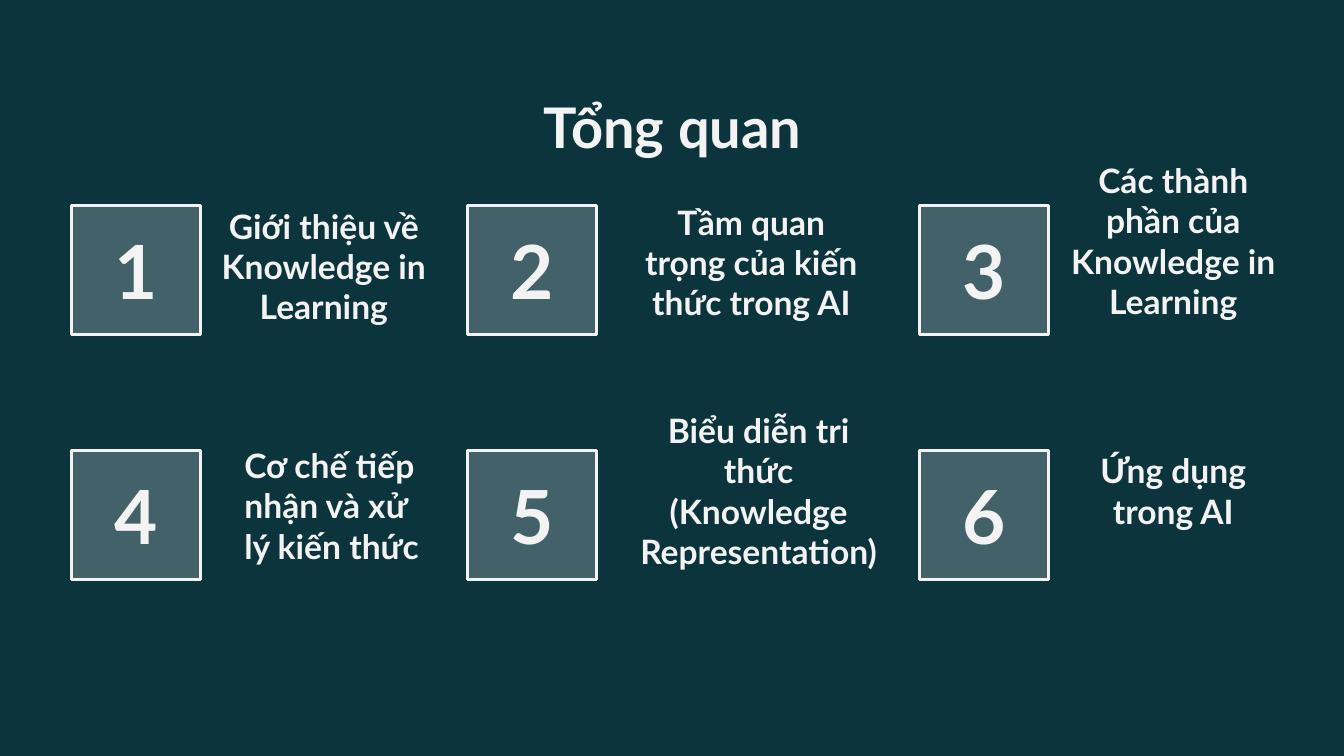
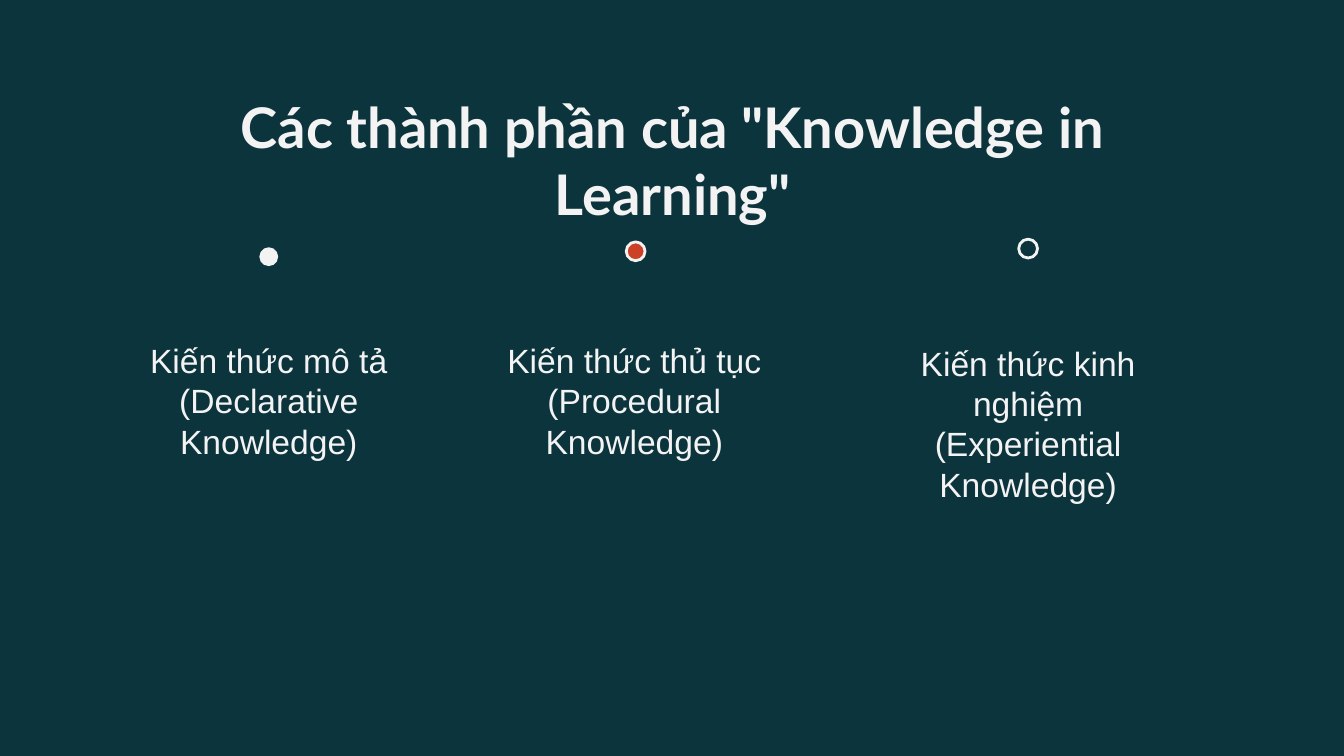
"""Build the overview slide and the knowledge components slide."""
from dataclasses import dataclass

from lxml.etree import SubElement
from pptx import Presentation
from pptx.dml.color import RGBColor
from pptx.enum.shapes import MSO_SHAPE
from pptx.enum.text import MSO_ANCHOR, PP_ALIGN
from pptx.oxml.ns import qn
from pptx.util import Inches, Pt


@dataclass(frozen=True)
class Theme:
    night: RGBColor = RGBColor(0x0C, 0x34, 0x3D)
    mist: RGBColor = RGBColor(0xF3, 0xF3, 0xF3)
    ember: RGBColor = RGBColor(0xCC, 0x41, 0x25)
    heading_font: str = "Lato"
    body_font: str = "Arial"
    title_size: int = 30
    number_size: int = 40
    text_size: int = 18
    outline: float = 1.5
    tile_alpha: str = "24000"


theme = Theme()


def write(shape, text, size, font=theme.heading_font, bold=True,
          anchor=MSO_ANCHOR.MIDDLE, align=PP_ALIGN.CENTER):
    frame = shape.text_frame
    frame.text = text
    frame.word_wrap = True
    frame.vertical_anchor = anchor
    frame.margin_left = frame.margin_right = Inches(0.1)
    frame.margin_top = frame.margin_bottom = Inches(0.1)
    for paragraph in frame.paragraphs:
        paragraph.alignment = align
        for run in paragraph.runs:
            run.font.name = font
            run.font.size = Pt(size)
            run.font.bold = bold
            run.font.color.rgb = theme.mist


def add_figure(slide, kind, left, top, side, fill, outlined=True):
    figure = slide.shapes.add_shape(
        kind, Inches(left), Inches(top), Inches(side), Inches(side))
    figure.shadow.inherit = False
    figure.fill.solid()
    figure.fill.fore_color.rgb = fill
    if outlined:
        figure.line.color.rgb = theme.mist
        figure.line.width = Pt(theme.outline)
    else:
        figure.line.fill.background()
    return figure


deck = Presentation()
deck.slide_width, deck.slide_height = Inches(10), Inches(5.625)

slides = []
for title in ("Tổng quan", 'Các thành phần của "Knowledge in Learning"'):
    slide = deck.slides.add_slide(deck.slide_layouts[6])
    slide.background.fill.solid()
    slide.background.fill.fore_color.rgb = theme.night
    heading = slide.shapes.add_textbox(
        Inches(0.79), Inches(0.59), Inches(8.43), Inches(0.63))
    write(heading, title, theme.title_size, anchor=MSO_ANCHOR.TOP)
    slides.append(slide)
overview, components = slides

tile_columns = (0.53, 3.48, 6.84)
tile_rows = (1.53, 3.35)
tile_side = 0.96
topics = (
    ("Giới thiệu về Knowledge in Learning", 1.23, 1.48, 2.36, 1.05, PP_ALIGN.CENTER),
    ("Tầm quan trọng của kiến thức trong AI", 4.63, 1.45, 1.92, 1.05, PP_ALIGN.CENTER),
    ("Các thành phần của Knowledge in Learning", 7.8, 1.28, 1.86, 1.21, PP_ALIGN.CENTER),
    ("Cơ chế tiếp nhận và xử lý kiến thức", 1.72, 3.39, 1.62, 0.92, PP_ALIGN.LEFT),
    ("Biểu diễn tri thức (Knowledge Representation)", 4.63, 3.0, 2.03, 1.35, PP_ALIGN.CENTER),
    ("Ứng dụng trong AI", 7.8, 2.8, 1.86, 1.25, PP_ALIGN.CENTER),
)
for index, (topic, left, top, width, height, align) in enumerate(topics):
    row, column = divmod(index, len(tile_columns))
    tile = add_figure(overview, MSO_SHAPE.ROUNDED_RECTANGLE,
                      tile_columns[column], tile_rows[row], tile_side, theme.mist)
    tile.adjustments[0] = 0
    tint = tile.fill._xPr.find(qn("a:solidFill"))[0]
    SubElement(tint, qn("a:alpha")).set("val", theme.tile_alpha)
    write(tile, str(index + 1), theme.number_size)
    caption = overview.shapes.add_textbox(
        Inches(left), Inches(top), Inches(width), Inches(height))
    write(caption, topic, theme.text_size, anchor=MSO_ANCHOR.BOTTOM, align=align)

dot_side = 0.14
kind_width, kind_height = 2.24, 1.32
knowledge_kinds = (
    ("Kiến thức mô tả\n(Declarative Knowledge)",
     0.88, 2.32, 1.93, 1.84, theme.mist, False),
    ("Kiến thức thủ tục (Procedural Knowledge)",
     3.6, 2.32, 4.66, 1.8, theme.ember, True),
    ("Kiến thức kinh nghiệm (Experiential Knowledge)",
     6.53, 2.49, 7.58, 1.78, theme.night, True),
)
for name, left, top, dot_left, dot_top, color, outlined in knowledge_kinds:
    add_figure(components, MSO_SHAPE.OVAL, dot_left, dot_top, dot_side, color, outlined)
    label = components.shapes.add_textbox(
        Inches(left), Inches(top), Inches(kind_width), Inches(kind_height))
    write(label, name, theme.text_size, theme.body_font, bold=False)

deck.save("out.pptx")
